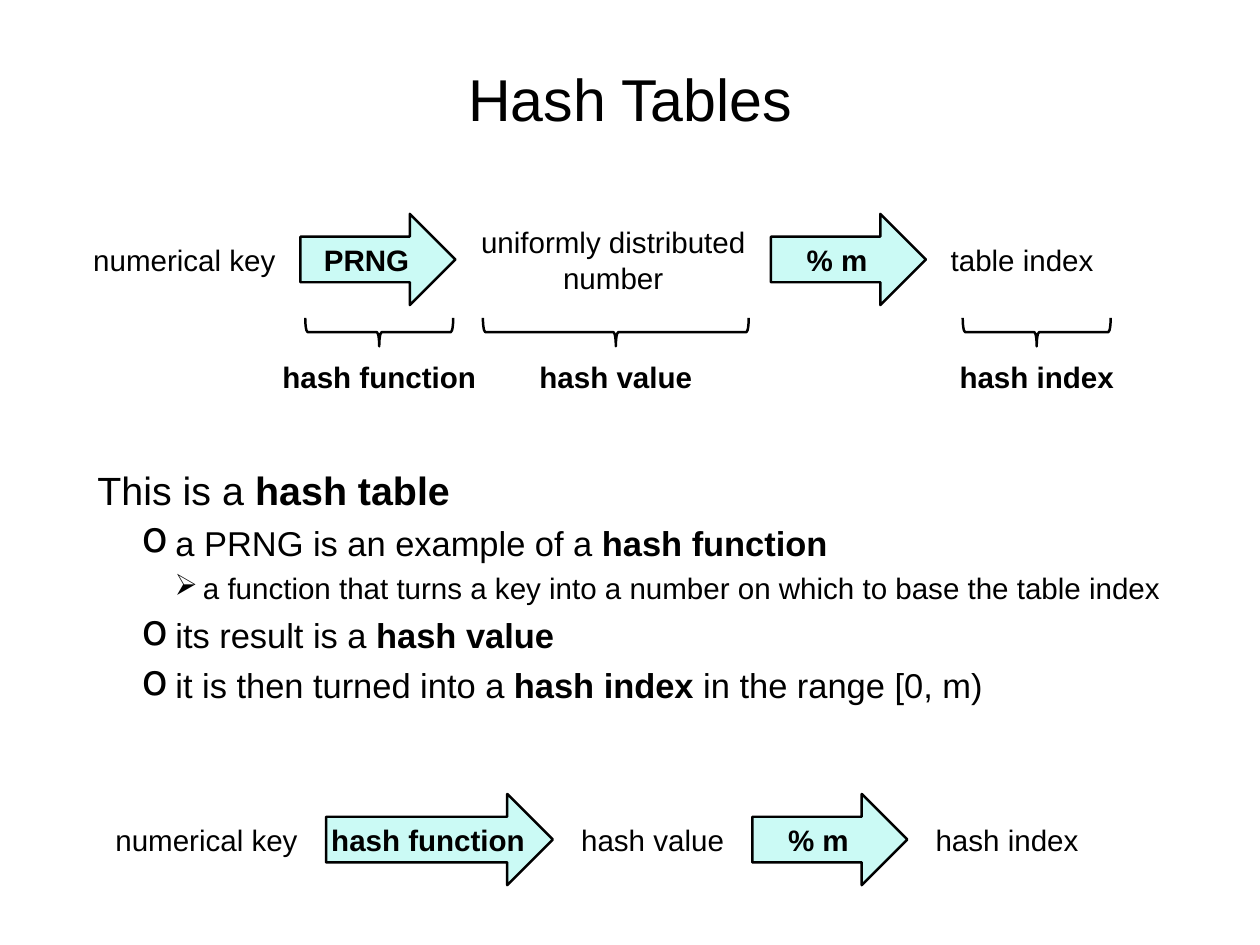
import lxml.etree
import pptx
import pptx.dml.color
import pptx.enum.shapes
import pptx.enum.text
import pptx.oxml.ns
import pptx.util

Inches, Pt = pptx.util.Inches, pptx.util.Pt
SHAPE = pptx.enum.shapes.MSO_SHAPE
ANCHOR = pptx.enum.text.MSO_ANCHOR
ALIGN = pptx.enum.text.PP_ALIGN
COLORS = {"ink": "000000", "arrow": "CBFAF5"}
TIGHT = dict.fromkeys(
    ("margin_left", "margin_top", "margin_right", "margin_bottom"), Inches(0.06))

# Per outline level: size, space before, left margin, indent, bullet, bullet size
LEVELS = [
    (32, 0, 0.5, -0.5, None, None),
    (28, 7, 0.88, -0.38, "o", 125),
    (24, 6, 1.19, -0.32, "➢", 100),
]
# Each line: level and text, where every second piece between bars is bold
OUTLINE = [
    (0, "This is a |hash table"),
    (1, "a PRNG is an example of a |hash function"),
    (2, "a function that turns a key into a number on which to base the table index"),
    (1, "its result is a |hash value"),
    (1, "it is then turned into a |hash index |in the range [0, m)"),
]
# Each step: kind, text, width
KEY_TO_TABLE = [
    ("label", "numerical key", 2.28),
    ("arrow", "PRNG", 1.75),
    ("label", "uniformly distributed\nnumber", 3.22),
    ("arrow", "% m", 1.75),
    ("label", "table index", 1.83),
]
KEY_TO_HASH = [
    ("label", "numerical key", 2.28),
    ("arrow", "hash function", 2.56),
    ("label", "hash value", 1.83),
    ("arrow", "% m", 1.75),
    ("label", "hash index", 1.83),
]
# Each brace: centre, span, caption
BRACES = [
    (4.28, 1.67, "hash function"),
    (6.95, 3, "hash value"),
    (11.7, 1.67, "hash index"),
]


def assign(obj, values):
    for name, value in values.items():
        setattr(obj, name, value)


def rgb(name):
    return pptx.dml.color.RGBColor.from_string(COLORS[name])


class Deck:
    def __init__(self, width, height):
        self.prs = pptx.Presentation()
        assign(self.prs, {"slide_width": Inches(width), "slide_height": Inches(height)})
        self.s = None

    def add_slide(self, title):
        self.s = self.prs.slides.add_slide(self.prs.slide_layouts[5])
        sp = self.s.shapes.title
        assign(sp, {"left": Inches(1.04), "top": Inches(0.28),
                    "width": Inches(12.14), "height": Inches(1.64)})
        self.fill_text(sp, title, size=48, frame=TIGHT)

    def style(self, r, size, bold):
        assign(r.font, {"name": "Arial", "size": Pt(size), "bold": bold})
        r.font.color.rgb = rgb("ink")

    def fill_text(self, sp, text, size=24, bold=False, frame=None):
        tf = sp.text_frame
        assign(tf, {"vertical_anchor": ANCHOR.MIDDLE, **(frame or {})})
        p = tf.paragraphs[0]
        assign(p, {"text": text, "alignment": ALIGN.CENTER})
        for r in p.runs:
            self.style(r, size, bold)

    def label(self, x, middle, width, text, bold=False):
        height = 0.5 + 0.41 * text.count("\n")
        sp = self.s.shapes.add_textbox(
            Inches(x), Inches(middle - height / 2), Inches(width), Inches(height))
        self.fill_text(sp, text, bold=bold, frame={"word_wrap": False})

    def shape(self, kind, x, y, width, height):
        sp = self.s.shapes.add_shape(
            kind, Inches(x), Inches(y), Inches(width), Inches(height))
        sp.shadow.inherit = False
        sp.line.color.rgb = rgb("ink")
        sp.line.width = Pt(2)
        return sp

    def arrow(self, x, middle, width, text):
        height = 1.03
        sp = self.shape(SHAPE.RIGHT_ARROW, x, middle - height / 2, width, height)
        sp.fill.solid()
        sp.fill.fore_color.rgb = rgb("arrow")
        self.fill_text(sp, text, bold=True, frame={**TIGHT, "word_wrap": False})

    def brace(self, center, middle, span, caption):
        """Draw a brace that opens upwards, with its caption below."""
        depth = 0.32
        sp = self.shape(SHAPE.RIGHT_BRACE, center - depth / 2, middle - span / 2, depth, span)
        sp.rotation = 90
        sp.fill.background()
        self.label(center - 1.2, middle + 0.5, 2.4, caption, bold=True)

    def flow(self, x, middle, gap, steps):
        """Lay out labels and arrows from left to right with equal gaps."""
        for kind, text, width in steps:
            draw = self.arrow if kind == "arrow" else self.label
            draw(x, middle, width, text)
            x += width + gap

    def outline(self, x, y, width, height, lines):
        tf = self.s.shapes.add_textbox(
            Inches(x), Inches(y), Inches(width), Inches(height)).text_frame
        assign(tf, {**TIGHT, "word_wrap": True})
        for i, (level, text) in enumerate(lines):
            p = tf.add_paragraph() if i else tf.paragraphs[0]
            size, before, margin, indent, bullet, percent = LEVELS[level]
            pPr = p._p.get_or_add_pPr()
            pPr.set("marL", str(Inches(margin)))
            pPr.set("indent", str(Inches(indent)))
            if bullet:
                for tag, name, value in (("a:buSzPct", "val", str(percent * 1000)),
                                         ("a:buChar", "char", bullet)):
                    lxml.etree.SubElement(pPr, pptx.oxml.ns.qn(tag)).set(name, value)
            assign(p, {"level": level, "space_before": Pt(before)})
            for n, piece in enumerate(text.split("|")):
                r = p.add_run()
                r.text = piece
                self.style(r, size, n % 2 == 1)


def main():
    deck = Deck(14.22, 10.67)
    deck.add_slide("Hash Tables")
    deck.outline(1.04, 5.2, 12.57, 2.9, OUTLINE)
    deck.flow(0.94, 2.93, 0.17, KEY_TO_TABLE)
    for center, span, caption in BRACES:
        deck.brace(center, 3.75, span, caption)
    deck.flow(1.19, 9.48, 0.21, KEY_TO_HASH)
    deck.prs.save("out.pptx")


if __name__ == "__main__":
    main()
